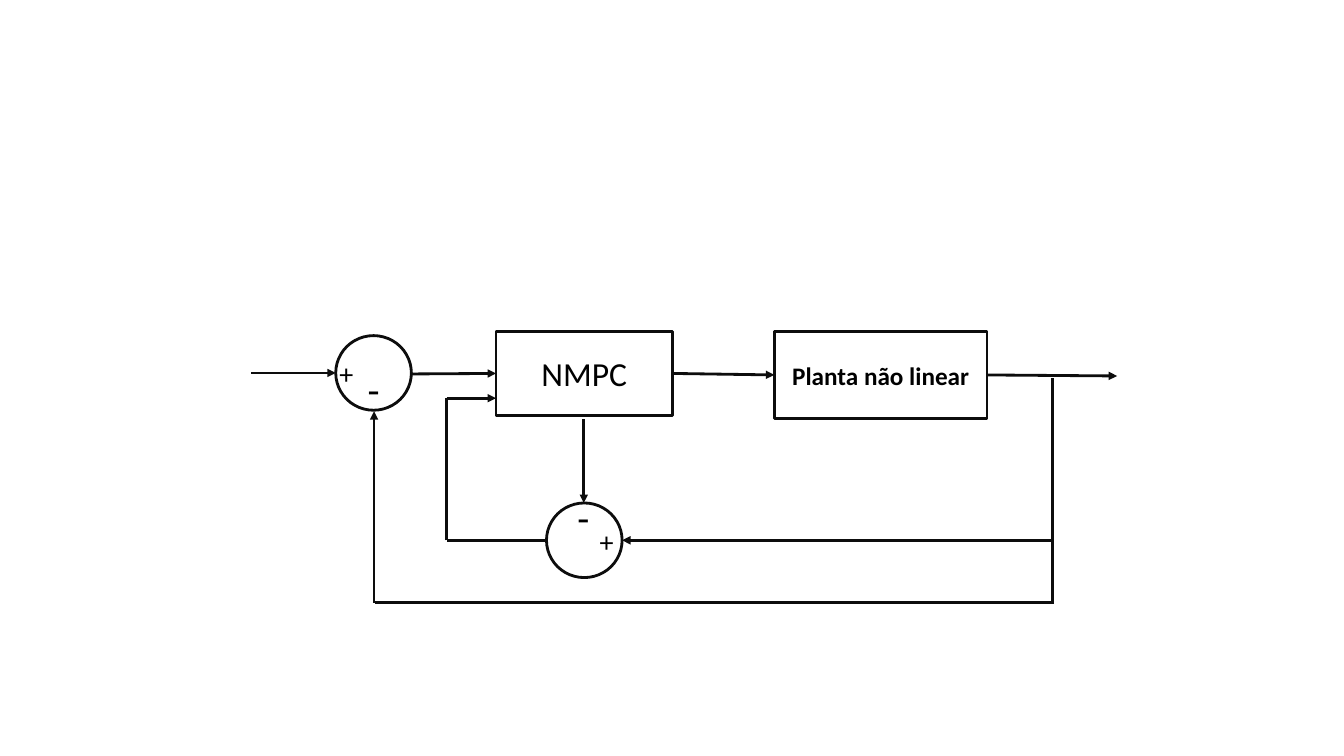
from lxml import etree
from pptx import Presentation
from pptx.dml.color import RGBColor
from pptx.enum.shapes import MSO_CONNECTOR, MSO_SHAPE
from pptx.enum.text import MSO_ANCHOR, MSO_AUTO_SIZE, PP_ALIGN
from pptx.oxml.ns import qn
from pptx.util import Inches, Pt

RECT, OVAL = MSO_SHAPE.RECTANGLE, MSO_SHAPE.OVAL
LINE = MSO_CONNECTOR.STRAIGHT
CENTER, MIDDLE = PP_ALIGN.CENTER, MSO_ANCHOR.MIDDLE
GROW = MSO_AUTO_SIZE.SHAPE_TO_FIT_TEXT
LEFT, BOTTOM, RIGHT = 1, 2, 3
INK, BLACK, WHITE = "0D0D0D", "000000", "FFFFFF"

# Content: name, text, size, bold, box
BLOCKS = [
    ("nmpc", "NMPC", 24, False, (4.92, 3.29, 1.75, 0.83)),
    ("plant", "Planta não linear", 18, True, (7.68, 3.29, 2.11, 0.86)),
]
# Summing points: left, top
SUMS = [(3.33, 3.33), (5.42, 4.99)]
SUM_W, SUM_H = 0.75, 0.74
# Signs: text, size, left, top, height
SIGNS = [
    ("-", 28, 3.33, 3.58, 0.57),
    ("+", 20, 3.06, 3.49, 0.44),
    ("+", 20, 5.64, 5.15, 0.44),
    ("-", 28, 5.41, 4.84, 0.57),
]
# Signal lines: start, end, arrow, joined start, joined end
TAP, LOW, MID, BACK = 10.44, 5.98, 5.36, 4.43
LINES = [
    ((2.49, 3.7), (3.33, 3.7), True, None, None),
    ((4.08, 3.71), (4.92, 3.71), True, None, ("nmpc", LEFT)),
    ((6.67, 3.71), (7.68, 3.73), True, ("nmpc", RIGHT), ("plant", LEFT)),
    ((9.79, 3.73), (11.08, 3.73), True, ("plant", RIGHT), None),
    ((TAP, 3.75), (TAP, LOW), False, None, None),
    ((10.45, LOW), (3.72, LOW), False, None, None),
    ((3.71, LOW), (3.71, 4.08), True, None, None),
    ((TAP, MID), (6.17, MID), True, None, None),
    ((5.79, 4.16), (5.79, 4.99), True, None, None),
    ((5.42, MID), (BACK, MID), False, None, None),
    ((BACK, MID), (BACK, 3.95), False, None, None),
    ((BACK, 3.95), (4.92, 3.95), True, None, None),
]


def color(code):
    return RGBColor.from_string(code)


def stroke(line):
    line.color.rgb = color(INK)
    line.width = Pt(2)


def write(frame, text, size, bold=False):
    para = frame.paragraphs[0]
    para.text = text
    para.alignment = CENTER
    font = para.font
    font.name, font.size, font.bold = "Calibri", Pt(size), bold
    font.color.rgb = color(BLACK)


def outline(kind, box):
    shape = slide.shapes.add_shape(kind, *map(Inches, box))
    shape.shadow.inherit = False
    shape.fill.solid()
    shape.fill.fore_color.rgb = color(WHITE)
    stroke(shape.line)
    return shape


def link(start, end, arrow, src, dest):
    wire = slide.shapes.add_connector(LINE, *map(Inches, start + end))
    stroke(wire.line)
    props = wire.element.spPr
    if arrow:
        tail = etree.SubElement(props.find(qn("a:ln")), qn("a:tailEnd"))
        tail.set("type", "triangle")
    etree.SubElement(props, qn("a:effectLst"))
    if src:
        wire.begin_connect(blocks[src[0]], src[1])
    if dest:
        wire.end_connect(blocks[dest[0]], dest[1])


prs = Presentation()
prs.slide_width, prs.slide_height = Inches(13.33), Inches(7.5)
slide = prs.slides.add_slide(prs.slide_layouts[6])

# Blocks and summing points
blocks = {}
for name, text, size, bold, box in BLOCKS:
    blocks[name] = outline(RECT, box)
    frame = blocks[name].text_frame
    frame.word_wrap = True
    frame.vertical_anchor = MIDDLE
    write(frame, text, size, bold)
for left, top in SUMS:
    outline(OVAL, (left, top, SUM_W, SUM_H))

# Signal lines
for wire in LINES:
    link(*wire)

# Signs in the summing points
for text, size, left, top, high in SIGNS:
    box = slide.shapes.add_textbox(*map(Inches, (left, top, SUM_W, high)))
    box.text_frame.word_wrap = True
    box.text_frame.auto_size = GROW
    write(box.text_frame, text, size)

prs.save("out.pptx")
